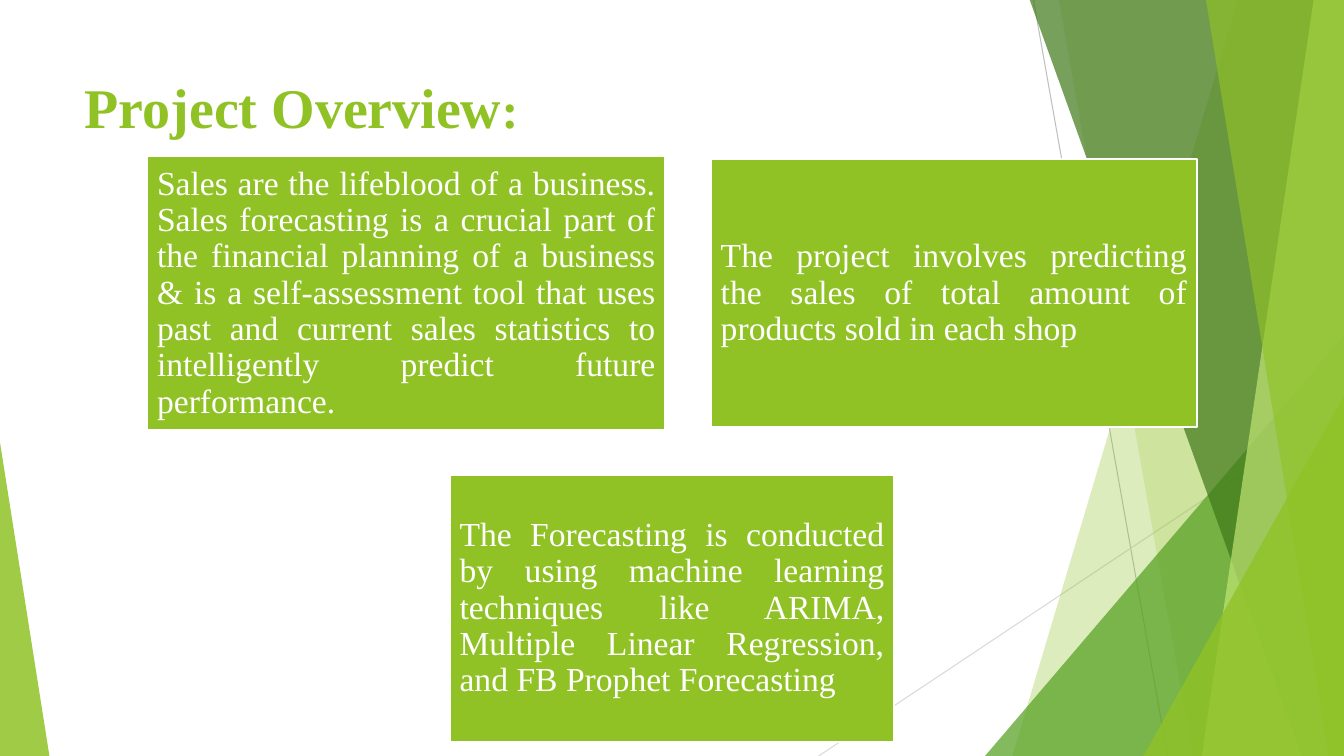
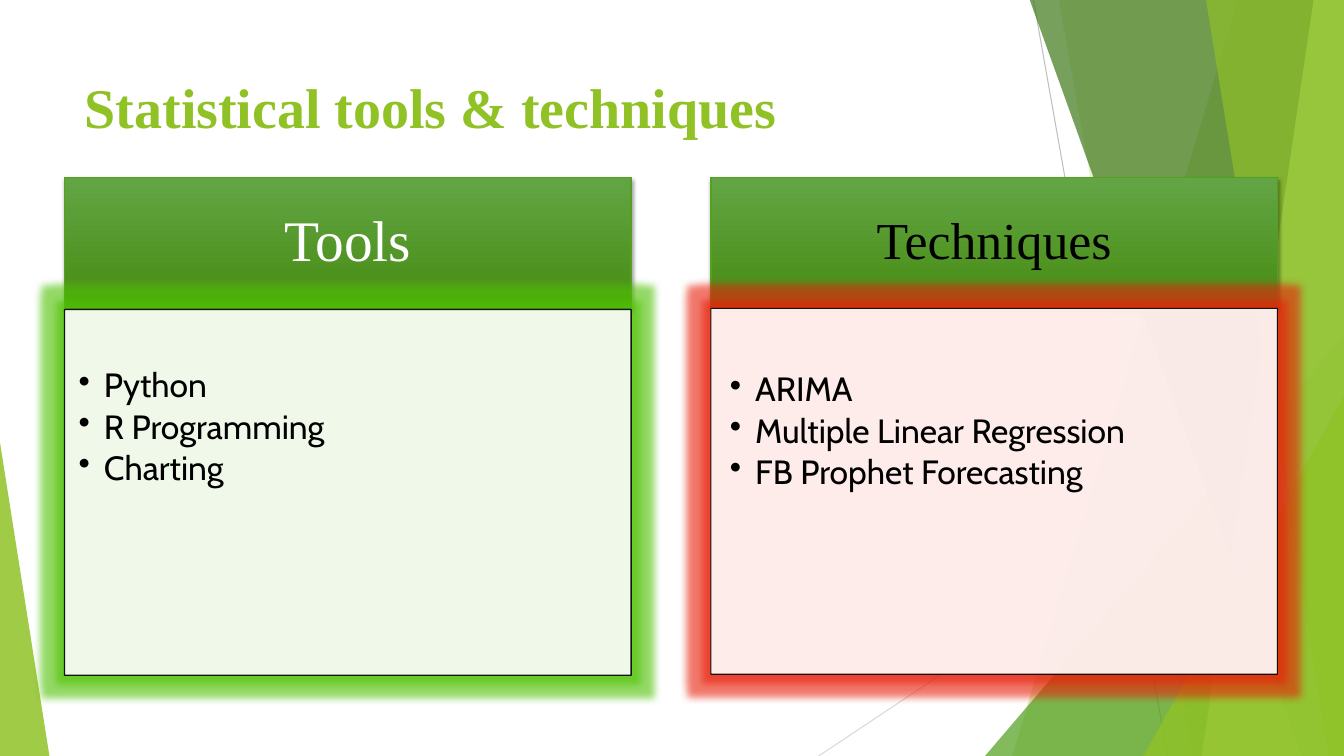
from lxml.etree import SubElement
from pptx import Presentation
from pptx.dml.color import RGBColor
from pptx.enum.shapes import MSO_CONNECTOR, MSO_SHAPE
from pptx.enum.text import MSO_ANCHOR, MSO_AUTO_SIZE, PP_ALIGN
from pptx.oxml.ns import qn
from pptx.util import Inches, Pt

STRAIGHT = MSO_CONNECTOR.STRAIGHT
RECTANGLE, TRIANGLE = MSO_SHAPE.RECTANGLE, MSO_SHAPE.ISOSCELES_TRIANGLE
TOP, MIDDLE = MSO_ANCHOR.TOP, MSO_ANCHOR.MIDDLE
LEFT, CENTER, JUSTIFY = PP_ALIGN.LEFT, PP_ALIGN.CENTER, PP_ALIGN.JUSTIFY
TITLE_ONLY = 5
WIDTH, HEIGHT = 13.33, 7.5


class Theme:
    lime, green, forest, pale = "90C226", "54A021", "3F7819", "C0E474"
    header_light, header_dark = "63A545", "4D921E"
    green_glow, red_glow = "4DC100", "E8200A"
    white, black, gray, light_gray = "FFFFFF", "000000", "BFBFBF", "D9D9D9"
    serif, sans = "Times New Roman", "Cabin"
    title, colon, body = 40, 36, 24


# Content
OVERVIEW_TITLE = [("Project Overview", Theme.title), (":", Theme.colon)]
OVERVIEW = [
    ((1.46, 1.55, 5.14, 2.72),
     "Sales are the lifeblood of a business. Sales forecasting is a crucial part of "
     "the financial planning of a business & is a self-assessment tool that uses past "
     "and current sales statistics to intelligently predict future performance."),
    ((7.05, 1.58, 4.82, 2.66),
     "The project involves predicting the sales of total amount of products sold "
     "in each shop"),
    ((4.46, 4.71, 4.41, 2.65),
     "The Forecasting is conducted by using machine learning techniques like ARIMA, "
     "Multiple Linear Regression, and FB Prophet Forecasting"),
]
TOOLS_TITLE = [("Statistical tools & techniques", Theme.title)]
COLUMNS = [
    dict(left=0.64, heading="Tools", size=41, color=Theme.white,
         glow=Theme.green_glow, top=3.07, line=1, insets=(0.14, 0.59, 0.19, 0.21),
         items=["Python", "R Programming", "Charting"]),
    dict(left=7.05, heading="Techniques", size=37, color=Theme.black,
         glow=Theme.red_glow, top=3.06, line=0.75, insets=(0.19, 0.64, 0.25, 0.28),
         items=["ARIMA", "Multiple Linear Regression", "FB Prophet Forecasting"]),
]

# Backdrop: lines, then facets from back to front
RULES = [((10.25, 0), (11.58, HEIGHT), Theme.gray),
         ((WIDTH, 4.03), (8.12, HEIGHT), Theme.light_gray)]
FACETS = [  # a band gives top and bottom x; a triangle gives its box and apex
    dict(band=(12.28, 10.04), color=Theme.lime, alpha=30),
    dict(band=(10.5, 11.83), color=Theme.lime, alpha=20),
    dict(box=(9.77, 3.33, 3.56, 4.17), apex=1, color=Theme.green, alpha=72),
    dict(band=(10.21, 12.91), color=Theme.forest, alpha=70),
    dict(band=(13.03, 11.92), color=Theme.pale, alpha=70),
    dict(band=(11.96, 13.18), color=Theme.lime, alpha=65),
    dict(box=(11.34, 3.93, 1.99, 3.57), apex=1, color=Theme.lime, alpha=80),
    dict(box=(0, 4.39, 0.49, 3.11), apex=0, color=Theme.lime, alpha=85),
]


def rgb(value):
    return RGBColor.from_string(value)


def set_all(target, **values):
    for name, value in values.items():
        setattr(target, name, value)


def set_alpha(shape, percent):
    for color in shape.element.xpath("p:spPr//a:srgbClr"):
        SubElement(color, qn("a:alpha"), val=str(percent * 1000))


def add_effect(shape, kind, color, alpha, **values):
    effects = shape.element.xpath("p:spPr/a:effectLst")[0]
    effect = SubElement(effects, qn("a:" + kind), values)
    shade = SubElement(effect, qn("a:srgbClr"), val=color)
    SubElement(shade, qn("a:alpha"), val=str(alpha * 1000))


def paint(shape, fill=None, line=None, width=1):
    shape.shadow.inherit = False
    if fill:
        shape.fill.solid()
        shape.fill.fore_color.rgb = rgb(fill)
    if line:
        shape.line.color.rgb = rgb(line)
        shape.line.width = Pt(width)
    else:
        shape.line.fill.background()


def add_box(shapes, place, kind=RECTANGLE, **style):
    box = shapes.add_shape(kind, *map(Inches, place))
    paint(box, **style)
    return box


def set_frame(shape, insets, anchor):
    frame = shape.text_frame
    left, top, right, bottom = map(Inches, insets)
    set_all(frame, word_wrap=True, vertical_anchor=anchor, margin_left=left,
            margin_top=top, margin_right=right, margin_bottom=bottom)
    return frame


def add_span(para, text, size, color, font=Theme.serif, bold=False):
    span = para.add_run()
    span.text = text
    set_all(span.font, size=Pt(size), name=font, bold=bold)
    span.font.color.rgb = rgb(color)


def add_backdrop(page, layout):
    """Draw the facets as one group and move it behind the layout's title."""
    group = page.shapes.add_group_shape()
    for start, end, color in RULES:
        rule = group.shapes.add_connector(STRAIGHT, *map(Inches, start + end))
        rule.line.color.rgb = rgb(color)
        rule.line.width = Pt(0.75)
        SubElement(rule.element.spPr, qn("a:effectLst"))
    for facet in FACETS:
        if "band" in facet:
            upper, lower = facet["band"]
            corners = [(WIDTH, -0.01), (WIDTH, HEIGHT), (lower, HEIGHT)]
            outline = group.shapes.build_freeform(Inches(upper), Inches(-0.01))
            outline.add_line_segments([(Inches(x), Inches(y)) for x, y in corners])
            shape = outline.convert_to_shape()
            paint(shape, facet["color"])
        else:
            shape = add_box(group.shapes, facet["box"], TRIANGLE, fill=facet["color"])
            shape.adjustments[0] = facet["apex"]
        set_alpha(shape, facet["alpha"])
    for number, entry in enumerate(group.element.xpath(".//p:cNvPr"), 100):
        entry.set("id", str(number))
    layout.shapes.element.insert(2, group.element)


def add_page(deck, layout, title):
    page = deck.slides.add_slide(layout)
    frame = set_frame(page.shapes.title, (0.1, 0.05, 0.1, 0.05), TOP)
    frame.auto_size = MSO_AUTO_SIZE.NONE
    para = frame.paragraphs[0]
    para.alignment = LEFT
    for text, size in title:
        add_span(para, text, size, Theme.lime, bold=True)
    return page


def add_overview(page):
    for place, text in OVERVIEW:
        box = add_box(page.shapes, place, fill=Theme.lime, line=Theme.white, width=1.5)
        para = set_frame(box, (0.1,) * 4, MIDDLE).paragraphs[0]
        set_all(para, alignment=JUSTIFY, line_spacing=0.9)
        add_span(para, text, Theme.body, Theme.white)


def add_column(page, column):
    # Heading bar
    bar = add_box(page.shapes, (column["left"], 1.76, 5.62, 1.29), line=Theme.green)
    bar.fill.gradient()
    bar.fill.gradient_angle = 270
    stops = [(0, Theme.header_light), (0.78, Theme.header_dark)]
    for stop, (position, color) in zip(bar.fill.gradient_stops, stops):
        stop.position = position
        stop.color.rgb = rgb(color)
    add_effect(bar, "outerShdw", Theme.black, 35, blurRad=str(Pt(3)),
               dist=str(Pt(2)), dir="5400000", rotWithShape="0")
    para = set_frame(bar, (0.3, 0.17, 0.3, 0.17), MIDDLE).paragraphs[0]
    set_all(para, alignment=CENTER, line_spacing=0.9)
    add_span(para, column["heading"], column["size"], column["color"])

    # Glowing panel with its list
    panel = add_box(page.shapes, (column["left"], column["top"], 5.62, 3.63),
                    fill=Theme.white, line=Theme.black, width=column["line"])
    set_alpha(panel, 90)
    add_effect(panel, "glow", column["glow"], 60, rad=str(Pt(11)))
    frame = set_frame(panel, column["insets"], TOP)
    for index, item in enumerate(column["items"]):
        para = frame.add_paragraph() if index else frame.paragraphs[0]
        props = para._p.get_or_add_pPr()
        props.set("marL", str(Inches(0.25)))
        props.set("indent", str(Inches(-0.25)))
        SubElement(props, qn("a:buChar"), char="•")
        set_all(para, alignment=LEFT, line_spacing=0.9, space_after=Pt(3.6))
        add_span(para, item, Theme.body, Theme.black, Theme.sans)


def main():
    deck = Presentation()
    set_all(deck, slide_width=Inches(WIDTH), slide_height=Inches(HEIGHT))
    layout = deck.slide_layouts[TITLE_ONLY]
    set_all(layout.placeholders[0], left=Inches(0.74), top=Inches(0.67),
            width=Inches(9.4), height=Inches(1.44))

    overview = add_page(deck, layout, OVERVIEW_TITLE)
    add_backdrop(overview, layout)
    add_overview(overview)

    tools = add_page(deck, layout, TOOLS_TITLE)
    for column in COLUMNS:
        add_column(tools, column)
    deck.save("out.pptx")


if __name__ == "__main__":
    main()
